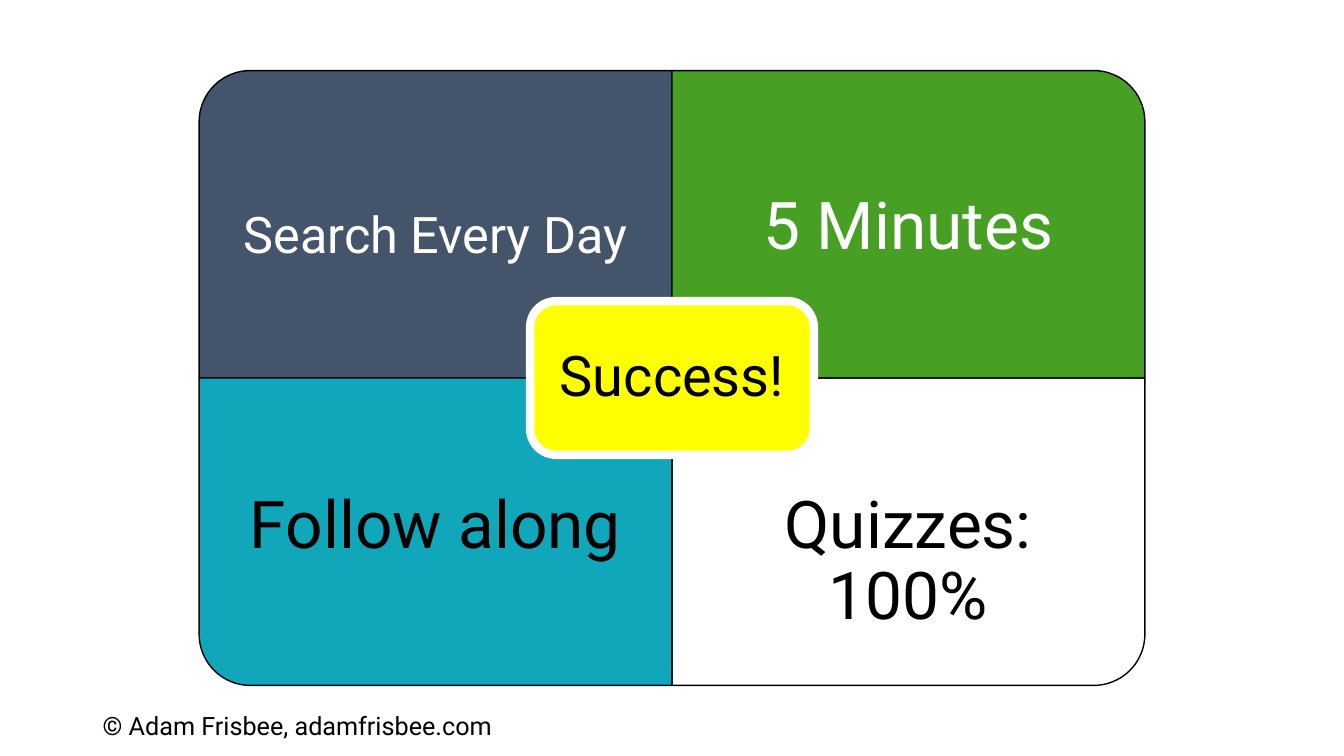
import math
from dataclasses import dataclass

from pptx import Presentation
from pptx import util as u
from pptx.dml.color import RGBColor
from pptx.enum import shapes, text


@dataclass(frozen=True)
class Theme:
    font: str = "Roboto"
    black: str = "000000"
    white: str = "FFFFFF"
    slate: str = "44546A"
    green: str = "47A024"
    teal: str = "11A7BB"
    yellow: str = "FFFF00"
    large: int = 47
    centre: int = 40
    medium: int = 36
    small: int = 18


THEME = Theme()
WIDTH, HEIGHT = u.Inches(13.33), u.Inches(7.5)
CELL_W, CELL_H = u.Inches(4.69), u.Inches(3.05)
MIDDLE_X, MIDDLE_Y = WIDTH / 2, HEIGHT / 2
CORNER = CELL_H / 6
ARC_STEPS = 24


def write(shape, words, size, color, anchor, insets, align=text.PP_ALIGN.CENTER):
    frame = shape.text_frame
    frame.word_wrap = True
    frame.vertical_anchor = anchor
    frame.margin_left, frame.margin_top, frame.margin_right, frame.margin_bottom = (
        u.Inches(inset) for inset in insets
    )
    para = frame.paragraphs[0]
    para.text = words
    para.alignment = align
    para.font.name = THEME.font
    para.font.size = u.Pt(size)
    para.font.color.rgb = RGBColor.from_string(color)
    return frame


def paint(shape, fill, line, line_width):
    shape.shadow.inherit = False
    if fill:
        shape.fill.solid()
        shape.fill.fore_color.rgb = RGBColor.from_string(fill)
    else:
        shape.fill.background()
    shape.line.color.rgb = RGBColor.from_string(line)
    shape.line.width = u.Pt(line_width)


def add_quadrant(page, column, row, words, size, color, fill):
    angles = [math.pi / 2 * step / ARC_STEPS for step in range(ARC_STEPS + 1)]
    arc = [
        (CELL_W - CORNER * (1 - math.cos(a)), CELL_H - CORNER * (1 - math.sin(a)))
        for a in angles
    ]
    outline = [(CELL_W, 0), *arc, (0, CELL_H)]
    side_x, side_y = 2 * column - 1, 2 * row - 1
    builder = page.shapes.build_freeform(MIDDLE_X, MIDDLE_Y)
    builder.add_line_segments(
        [(MIDDLE_X + side_x * x, MIDDLE_Y + side_y * y) for x, y in outline]
    )
    quadrant = builder.convert_to_shape()
    paint(quadrant, fill, THEME.black, 1)
    if row:
        anchor, insets = text.MSO_ANCHOR.TOP, (0.37, 1.13, 0.37, 0.37)
    else:
        anchor, insets = text.MSO_ANCHOR.BOTTOM, (0.37, 0.37, 0.37, 1.13)
    frame = write(quadrant, words, size, color, anchor, insets)
    frame.paragraphs[0].line_spacing = 0.9


def add_centre(page, words):
    width, height = CELL_W * 0.6, CELL_H * 0.5
    centre = page.shapes.add_shape(
        shapes.MSO_SHAPE.ROUNDED_RECTANGLE,
        u.Emu(int(MIDDLE_X - width / 2)),
        u.Emu(int(MIDDLE_Y - height / 2)),
        u.Emu(int(width)),
        u.Emu(int(height)),
    )
    centre.adjustments[0] = 0.17
    paint(centre, THEME.yellow, THEME.white, 6)
    frame = write(
        centre, words, THEME.centre, THEME.black, text.MSO_ANCHOR.MIDDLE, (0.2,) * 4
    )
    frame.paragraphs[0].line_spacing = 0.9


def add_credit(page, words):
    box = page.shapes.add_textbox(
        u.Inches(0.92), u.Inches(7), u.Inches(4.13), u.Inches(0.4)
    )
    frame = write(
        box, words, THEME.small, THEME.black, text.MSO_ANCHOR.TOP,
        (0.1, 0.05, 0.1, 0.05), text.PP_ALIGN.LEFT,
    )
    frame.word_wrap = False
    frame.auto_size = text.MSO_AUTO_SIZE.SHAPE_TO_FIT_TEXT


def main():
    deck = Presentation()
    deck.slide_width, deck.slide_height = WIDTH, HEIGHT
    page = deck.slides.add_slide(deck.slide_layouts[6])
    add_credit(page, "© Adam Frisbee, adamfrisbee.com")
    quadrants = [
        (0, 0, "Search Every Day", THEME.medium, THEME.white, THEME.slate),
        (1, 0, "5 Minutes", THEME.large, THEME.white, THEME.green),
        (0, 1, "Follow along", THEME.large, THEME.black, THEME.teal),
        (1, 1, "Quizzes: 100%", THEME.large, THEME.black, None),
    ]
    for quadrant in quadrants:
        add_quadrant(page, *quadrant)
    add_centre(page, "Success!")
    deck.save("out.pptx")


if __name__ == "__main__":
    main()
